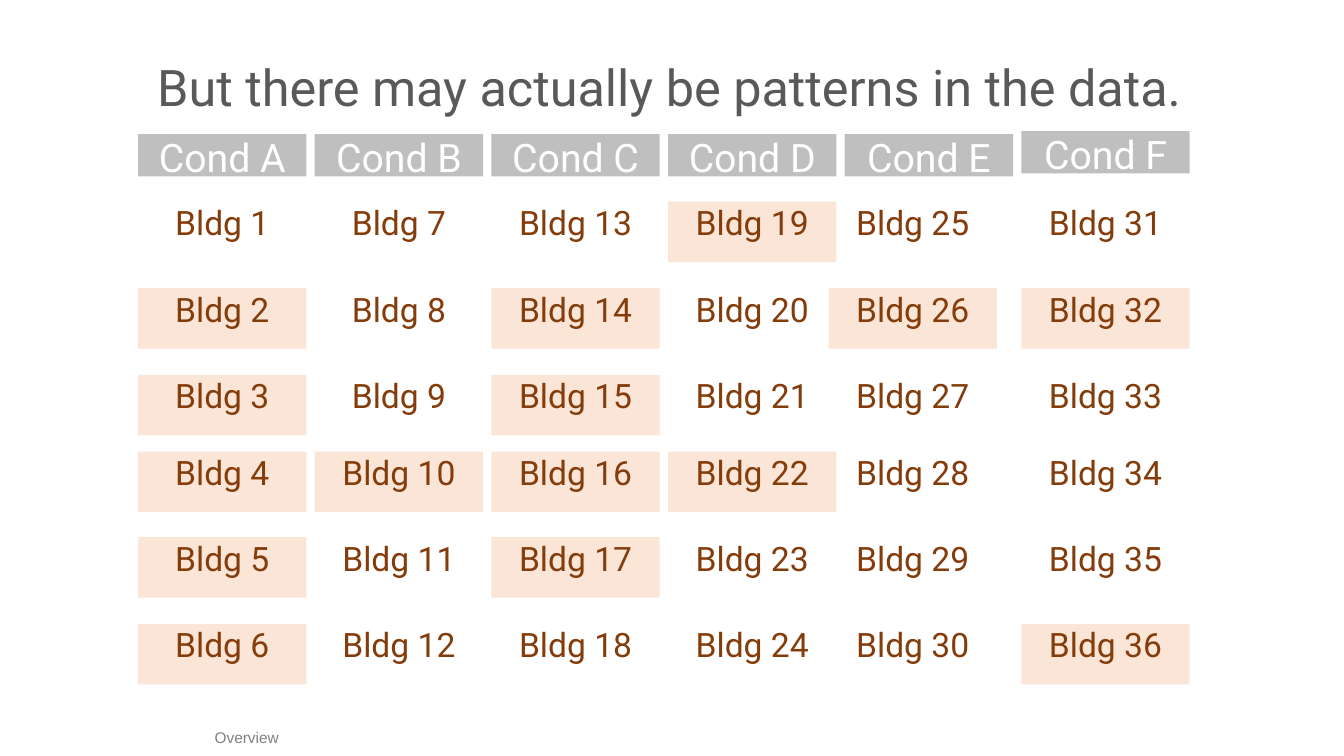
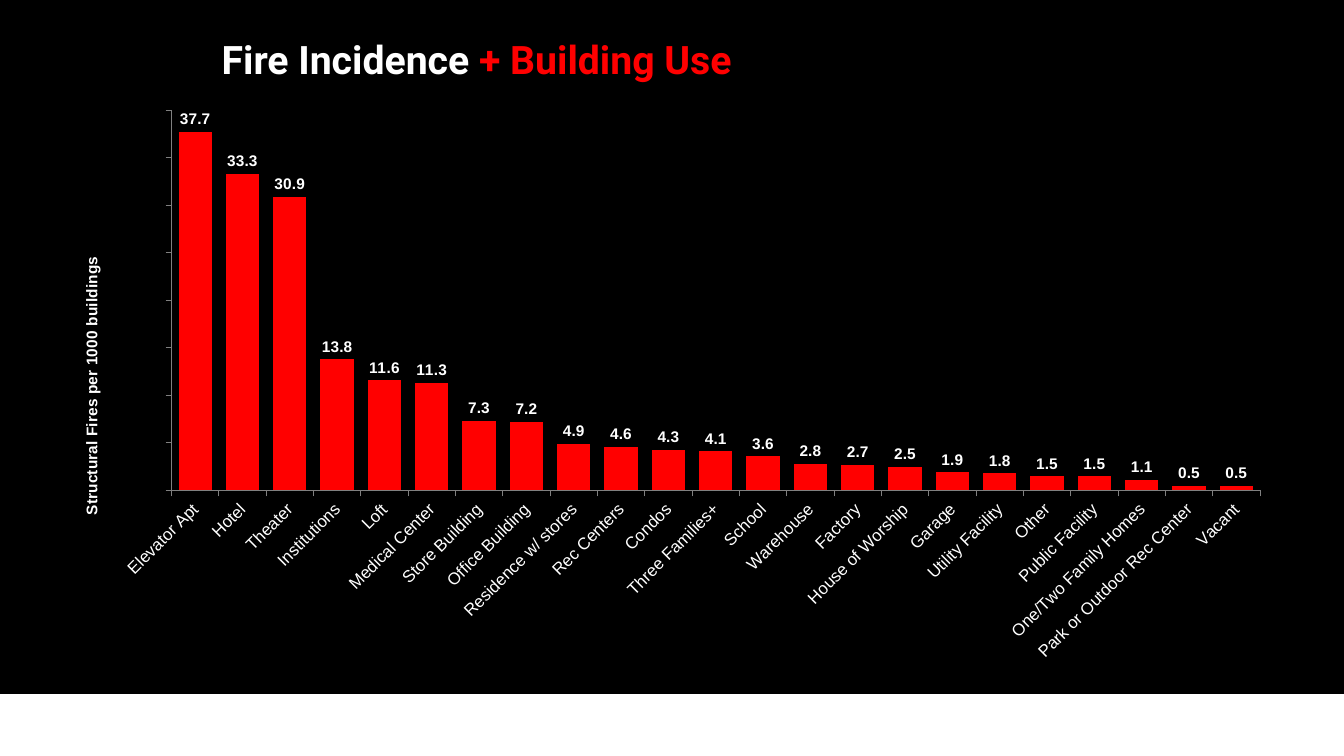
"""Build two slides: a grid of buildings by condition, and a chart of fire incidence by use."""
from lxml import etree
from pptx import Presentation
from pptx.chart.data import CategoryChartData
from pptx.dml.color import RGBColor
from pptx.enum.chart import XL_CHART_TYPE, XL_LABEL_POSITION, XL_TICK_LABEL_POSITION, XL_TICK_MARK
from pptx.enum.shapes import MSO_SHAPE
from pptx.enum.text import PP_ALIGN
from pptx.oxml.ns import qn
from pptx.util import Inches, Pt

RECTANGLE = MSO_SHAPE.RECTANGLE
LEFT, CENTER = PP_ALIGN.LEFT, PP_ALIGN.CENTER
TICK_OUTSIDE, TICK_NONE = XL_TICK_MARK.OUTSIDE, XL_TICK_MARK.NONE

WHITE = RGBColor(0xFF, 0xFF, 0xFF)
BLACK = RGBColor(0, 0, 0)
RED = RGBColor(0xFF, 0, 0)
BROWN = RGBColor(0x84, 0x3C, 0x0B)
PEACH = RGBColor(0xFB, 0xE5, 0xD6)
HEADER_GRAY = RGBColor(0xBF, 0xBF, 0xBF)
TITLE_GRAY = RGBColor(0x59, 0x59, 0x59)
FOOTER_GRAY = RGBColor(0x80, 0x80, 0x80)
TITLE_FONT, BODY_FONT = "Roboto", "Arial"

CONDITIONS = "ABCDEF"
HIGHLIGHTED = {2, 3, 4, 5, 6, 10, 14, 15, 16, 17, 19, 22, 26, 32, 36}
ROW_TOPS = (2, 2.86, 3.72, 4.48, 5.33, 6.19)
GRID_LEFT, COLUMN_STEP = 1.37, 1.752
CELL_WIDTH, CELL_HEIGHT, HEADER_HEIGHT = 1.67, 0.6, 0.42
HEADER_TOP = 1.33
COLUMN_SHIFTS = {"E": -0.16}
HEADER_LIFTS = {"F": 0.03}

FIRES = [
    ("Elevator Apt", 37.7), ("Hotel", 33.3), ("Theater", 30.9), ("Institutions", 13.8),
    ("Loft", 11.6), ("Medical Center", 11.3), ("Store Building", 7.3),
    ("Office Building", 7.2), ("Residence w/ stores", 4.9), ("Rec Centers", 4.6),
    ("Condos", 4.3), ("Three Families+", 4.1), ("School", 3.6), ("Warehouse", 2.8),
    ("Factory", 2.7), ("House of Worship", 2.5), ("Garage", 1.9), ("Utility Facility", 1.8),
    ("Other", 1.5), ("Public Facility", 1.5), ("One/Two Family Homes", 1.1),
    ("Park or Outdoor Rec Center", 0.5), ("Vacant", 0.5),
]


def add_box(slide, box, runs=(), size=24, fill=None, align=CENTER, font=TITLE_FONT,
            bold=False, spacing=None):
    """Add a text box, or a filled rectangle, holding one paragraph of (text, colour) runs."""
    place = [Inches(length) for length in box]
    if fill is None:
        shape = slide.shapes.add_textbox(*place)
    else:
        shape = slide.shapes.add_shape(RECTANGLE, *place)
        shape.shadow.inherit = False
        shape.fill.solid()
        shape.fill.fore_color.rgb = fill
        shape.line.fill.background()
    frame = shape.text_frame
    frame.word_wrap = True
    frame.vertical_anchor = 1
    paragraph = frame.paragraphs[0]
    paragraph.alignment = align
    paragraph.line_spacing = spacing
    paragraph.font.name, paragraph.font.size, paragraph.font.bold = font, Pt(size), bold
    for text, color in runs:
        run = paragraph.add_run()
        run.text = text
        run.font.color.rgb = color
    return shape


def add_background(slide, color):
    """Fill the slide background."""
    slide.background.fill.solid()
    slide.background.fill.fore_color.rgb = color


def build_grid_slide(slide):
    """Draw the condition headers and their buildings."""
    add_background(slide, WHITE)
    for column, letter in enumerate(CONDITIONS):
        left = GRID_LEFT + column * COLUMN_STEP
        for row, top in enumerate(ROW_TOPS):
            number = column * len(ROW_TOPS) + row + 1
            add_box(slide, (left + COLUMN_SHIFTS.get(letter, 0), top, CELL_WIDTH, CELL_HEIGHT),
                    [(f"Bldg {number}", BROWN)], spacing=0.9,
                    fill=PEACH if number in HIGHLIGHTED else None)
        header_top = HEADER_TOP - HEADER_LIFTS.get(letter, 0)
        add_box(slide, (left, header_top, CELL_WIDTH, HEADER_HEIGHT),
                [(f"Cond {letter}", WHITE)], size=28, fill=HEADER_GRAY, spacing=0.9)
    add_box(slide, (1.37, 0.51, 10.54, 0.97),
            [("But there may actually be patterns in the data.", TITLE_GRAY)], size=36)
    add_box(slide, (2.03, 7.17, 2.27, 0.29), [("Overview", FOOTER_GRAY)], size=11,
            align=LEFT, font=BODY_FONT)


def set_layout(parent, index, **shares):
    """Place a chart part by shares of the chart's size."""
    for old in parent.findall(qn("c:layout")):
        parent.remove(old)
    layout = etree.Element(qn("c:layout"))
    manual = etree.SubElement(layout, qn("c:manualLayout"))
    if "w" in shares:
        etree.SubElement(manual, qn("c:layoutTarget")).set("val", "inner")
    for name in ("xMode", "yMode"):
        etree.SubElement(manual, qn(f"c:{name}")).set("val", "edge")
    for name, share in shares.items():
        etree.SubElement(manual, qn(f"c:{name}")).set("val", str(share))
    parent.insert(index, layout)


def black_fill():
    """Return chart shape properties with a black fill and no outline."""
    properties = etree.Element(qn("c:spPr"))
    fill = etree.SubElement(properties, qn("a:solidFill"))
    etree.SubElement(fill, qn("a:srgbClr")).set("val", str(BLACK))
    etree.SubElement(etree.SubElement(properties, qn("a:ln")), qn("a:noFill"))
    return properties


def style_font(font, size, bold=False):
    """Apply the chart's white text style."""
    font.name, font.size, font.bold = BODY_FONT, Pt(size), bold
    font.color.rgb = WHITE


def add_fire_chart(slide):
    """Add the column chart of fires by building use."""
    data = CategoryChartData(number_format="0.0")
    data.categories = [use for use, _ in FIRES]
    data.add_series("Series 1", [rate for _, rate in FIRES])
    chart = slide.shapes.add_chart(XL_CHART_TYPE.COLUMN_CLUSTERED, Inches(0.53), Inches(0.98),
                                   Inches(12.2), Inches(5.69), data).chart
    chart.has_legend = chart.has_title = False
    style_font(chart.font, 10.5)

    plot = chart.plots[0]
    plot.gap_width = 42
    plot.vary_by_categories = False
    bars = plot.series[0].format.fill
    bars.solid()
    bars.fore_color.rgb = RED
    plot.has_data_labels = True
    labels = plot.data_labels
    labels.show_value = True
    labels.number_format, labels.number_format_is_linked = "0.0", False
    labels.position = XL_LABEL_POSITION.OUTSIDE_END
    style_font(labels.font, 11, bold=True)

    categories, values = chart.category_axis, chart.value_axis
    for axis in (categories, values):
        axis.has_major_gridlines = False
        axis.major_tick_mark, axis.minor_tick_mark = TICK_OUTSIDE, TICK_NONE
        axis.format.line.color.rgb = FOOTER_GRAY
        axis.format.line.width = Pt(0.75)
    style_font(categories.tick_labels.font, 12)
    rotation = categories._element.find(qn("c:txPr")).find(qn("a:bodyPr"))
    rotation.set("rot", "-2700000")
    rotation.set("vert", "horz")

    values.minimum_scale, values.maximum_scale, values.major_unit = 0, 40, 5
    values.tick_label_position = XL_TICK_LABEL_POSITION.NONE
    title_frame = values.axis_title.text_frame
    title_frame.text = "Structural Fires per 1000 buildings"
    style_font(title_frame.paragraphs[0].font, 11, bold=True)
    title = values.axis_title._element
    title_body = title.find(".//" + qn("a:bodyPr"))
    title_body.set("rot", "-5400000")
    title_body.set("vert", "horz")
    set_layout(title, 1, x=0.02, y=0.27)

    chart_xml = chart._chartSpace.find(qn("c:chart"))
    plot_area = chart_xml.find(qn("c:plotArea"))
    set_layout(plot_area, 0, x=0.096, y=0.02, w=0.885, h=0.663)
    plot_area.append(black_fill())
    chart_xml.addnext(black_fill())


def build_chart_slide(slide):
    """Draw the black slide with its white band, title and chart."""
    add_background(slide, BLACK)
    band = add_box(slide, (-0.23, 6.89, 13.56, 0.61), fill=WHITE)
    band.line.color.rgb = WHITE
    band.line.width = Pt(1)
    add_box(slide, (2.1, 0.3, 7.71, 1.41), [("Fire Incidence ", WHITE), ("+ Building Use", RED)],
            size=28, align=LEFT, bold=True)
    add_fire_chart(slide)


def main():
    """Build and save the presentation."""
    presentation = Presentation()
    presentation.slide_width, presentation.slide_height = Inches(13.33), Inches(7.5)
    for build in (build_grid_slide, build_chart_slide):
        build(presentation.slides.add_slide(presentation.slide_layouts[6]))
    presentation.save("out.pptx")


if __name__ == "__main__":
    main()
